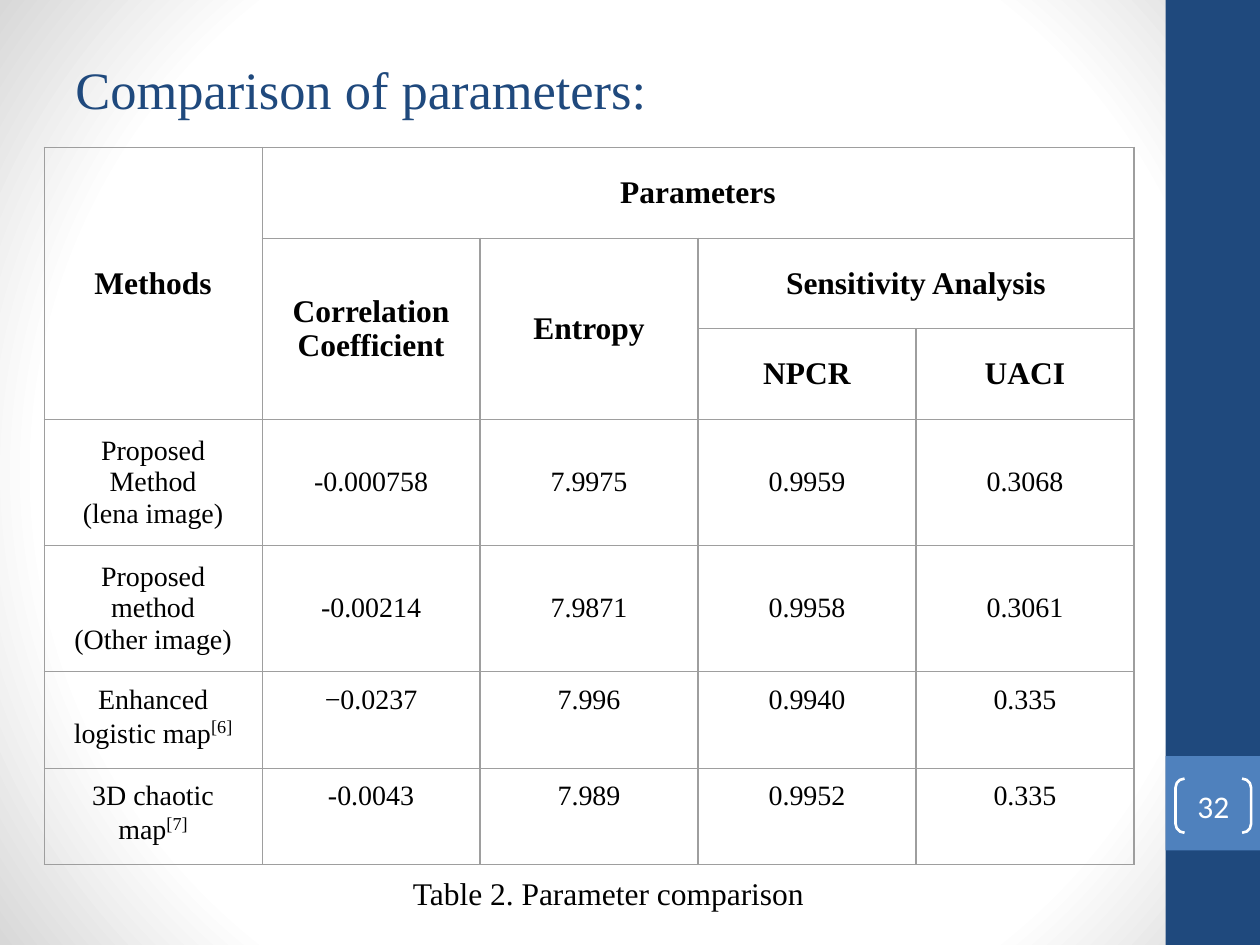
"""Build the slide that compares encryption parameters in a merged-header table."""

from typing import NamedTuple

from pptx import Presentation
from pptx.dml.color import RGBColor
from pptx.enum.shapes import MSO_SHAPE
from pptx.enum.text import MSO_ANCHOR, PP_ALIGN
from pptx.oxml import parse_xml
from pptx.oxml.ns import nsdecls
from pptx.util import Inches, Pt

RECTANGLE, BRACKETS = MSO_SHAPE.RECTANGLE, MSO_SHAPE.DOUBLE_BRACKET
TOP, MIDDLE = MSO_ANCHOR.TOP, MSO_ANCHOR.MIDDLE
LEFT, CENTER = PP_ALIGN.LEFT, PP_ALIGN.CENTER

NAVY = RGBColor(0x1F, 0x49, 0x7D)
BLUE = RGBColor(0x4F, 0x81, 0xBD)
WHITE = RGBColor(0xFF, 0xFF, 0xFF)
BLACK = RGBColor(0, 0, 0)
BORDER = RGBColor(0x9E, 0x9E, 0x9E)
SERIF, SANS = "Times New Roman", "Calibri"

COLUMN_WIDTH, ROW_HEIGHT, PADDING = 1.73, 0.72, 0.1


class Box(NamedTuple):
    left: float
    top: float
    width: float
    height: float

    def lengths(self) -> list:
        return [Inches(value) for value in self]


class TextStyle(NamedTuple):
    size: float
    color: RGBColor = BLACK
    font: str = SERIF
    bold: bool = False
    alignment: int = CENTER


class HeaderCell(NamedTuple):
    text: str
    row: int
    column: int
    last_row: int
    last_column: int


class MethodRow(NamedTuple):
    method: str
    values: tuple
    anchor: int
    reference: str = ""


TITLE_STYLE = TextStyle(30, NAVY, alignment=LEFT)
HEADER_STYLE = TextStyle(18, bold=True)
BODY_STYLE = TextStyle(16)
CAPTION_STYLE = TextStyle(18)
NUMBER_STYLE = TextStyle(18, WHITE, SANS)

HEADERS = [
    HeaderCell("Methods", 0, 0, 2, 0),
    HeaderCell("Parameters", 0, 1, 0, 4),
    HeaderCell("Correlation Coefficient", 1, 1, 2, 1),
    HeaderCell("Entropy", 1, 2, 2, 2),
    HeaderCell("Sensitivity Analysis", 1, 3, 1, 4),
    HeaderCell("NPCR", 2, 3, 2, 3),
    HeaderCell("UACI", 2, 4, 2, 4),
]
METHODS = [
    MethodRow("Proposed Method\n(lena image)", ("-0.000758", "7.9975", "0.9959", "0.3068"), MIDDLE),
    MethodRow("Proposed method\n(Other image)", ("-0.00214", "7.9871", "0.9958", "0.3061"), MIDDLE),
    MethodRow("Enhanced logistic map", ("−0.0237", "7.996", "0.9940", "0.335"), TOP, "[6]"),
    MethodRow("3D chaotic map", ("-0.0043", "7.989", "0.9952", "0.335"), TOP, "[7]"),
]
HEADER_ROWS, COLUMNS = 3, 5


def format_run(run, style: TextStyle) -> None:
    run.font.size = Pt(style.size)
    run.font.name = style.font
    run.font.bold = style.bold
    run.font.color.rgb = style.color


def write_text(text_frame, text: str, style: TextStyle) -> None:
    text_frame.text = text
    for paragraph in text_frame.paragraphs:
        paragraph.alignment = style.alignment
        for run in paragraph.runs:
            format_run(run, style)


def set_background(slide) -> None:
    stops = "".join(
        f'<a:gs pos="{position}"><a:srgbClr val="{color}"/></a:gs>'
        for position, color in ((0, "FFFFFF"), (75000, "FFFFFF"), (100000, "D8D8D8"))
    )
    background = parse_xml(
        f'<p:bg {nsdecls("p", "a")}><p:bgPr><a:gradFill rotWithShape="1"><a:gsLst>{stops}</a:gsLst>'
        '<a:path path="circle"><a:fillToRect l="50000" t="50000" r="50000" b="50000"/></a:path>'
        "</a:gradFill><a:effectLst/></p:bgPr></p:bg>"
    )
    slide.element.cSld.insert(0, background)


def add_panel(slide, box: Box, color: RGBColor) -> None:
    shape = slide.shapes.add_shape(RECTANGLE, *box.lengths())
    shape.shadow.inherit = False
    shape.fill.solid()
    shape.fill.fore_color.rgb = color
    shape.line.fill.background()


def add_label(slide, box: Box, text: str, style: TextStyle, anchor: int, vertical_inset: float) -> None:
    text_frame = slide.shapes.add_textbox(*box.lengths()).text_frame
    text_frame.word_wrap = True
    text_frame.vertical_anchor = anchor
    text_frame.margin_top = text_frame.margin_bottom = Inches(vertical_inset)
    text_frame.margin_left = text_frame.margin_right = Inches(PADDING)
    write_text(text_frame, text, style)


def add_page_number(slide, box: Box, text: str) -> None:
    shape = slide.shapes.add_shape(BRACKETS, *box.lengths())
    shape.shadow.inherit = False
    shape.fill.background()
    shape.line.color.rgb = WHITE
    shape.line.width = Pt(1.5)
    text_frame = shape.text_frame
    text_frame.margin_left = text_frame.margin_right = 0
    text_frame.margin_top = text_frame.margin_bottom = 0
    text_frame.vertical_anchor = MIDDLE
    write_text(text_frame, text, NUMBER_STYLE)


def prepare_cell(cell) -> None:
    cell.margin_left = cell.margin_right = Inches(PADDING)
    cell.margin_top = cell.margin_bottom = Inches(PADDING)
    properties = cell._tc.get_or_add_tcPr()
    for side in ("lnL", "lnR", "lnT", "lnB"):
        properties.append(parse_xml(
            f'<a:{side} {nsdecls("a")} w="{Pt(0.75)}"><a:solidFill>'
            f'<a:srgbClr val="{BORDER}"/></a:solidFill></a:{side}>'
        ))
    cell.fill.background()


def fill_cell(cell, text: str, style: TextStyle, anchor: int) -> None:
    cell.vertical_anchor = anchor
    write_text(cell.text_frame, text, style)


def add_reference(cell, reference: str) -> None:
    run = cell.text_frame.paragraphs[-1].add_run()
    run.text = reference
    format_run(run, TextStyle(18))
    run.font._element.set("baseline", "30000")


def add_comparison_table(slide, left: float, top: float) -> None:
    rows = HEADER_ROWS + len(METHODS)
    box = Box(left, top, COLUMNS * COLUMN_WIDTH, rows * ROW_HEIGHT)
    table = slide.shapes.add_table(rows, COLUMNS, *box.lengths()).table
    table.first_row = table.horz_banding = False
    for cell in table.iter_cells():
        prepare_cell(cell)
    for header in HEADERS:
        cell = table.cell(header.row, header.column)
        if (header.row, header.column) != (header.last_row, header.last_column):
            cell.merge(table.cell(header.last_row, header.last_column))
        fill_cell(cell, header.text, HEADER_STYLE, MIDDLE)
    for row, entry in enumerate(METHODS, HEADER_ROWS):
        for column, text in enumerate((entry.method, *entry.values)):
            fill_cell(table.cell(row, column), text, BODY_STYLE, entry.anchor)
        if entry.reference:
            add_reference(table.cell(row, 0), entry.reference)


def main() -> None:
    presentation = Presentation()
    presentation.slide_width, presentation.slide_height = Inches(10), Inches(7.5)
    slide = presentation.slides.add_slide(presentation.slide_layouts[6])
    set_background(slide)
    add_panel(slide, Box(9.25, 0, 0.75, 7.5), NAVY)
    add_panel(slide, Box(9.25, 6, 0.75, 0.75), BLUE)
    add_label(slide, Box(0.5, 0.08, 8.33, 1.25), "Comparison of parameters:", TITLE_STYLE, MIDDLE, 0.05)
    add_comparison_table(slide, 0.35, 1.17)
    add_label(slide, Box(3.05, 6.84, 3.56, 0.5), "Table 2. Parameter comparison", CAPTION_STYLE, TOP, PADDING)
    add_page_number(slide, Box(9.33, 6.18, 0.6, 0.43), "32")
    presentation.save("out.pptx")


if __name__ == "__main__":
    main()
